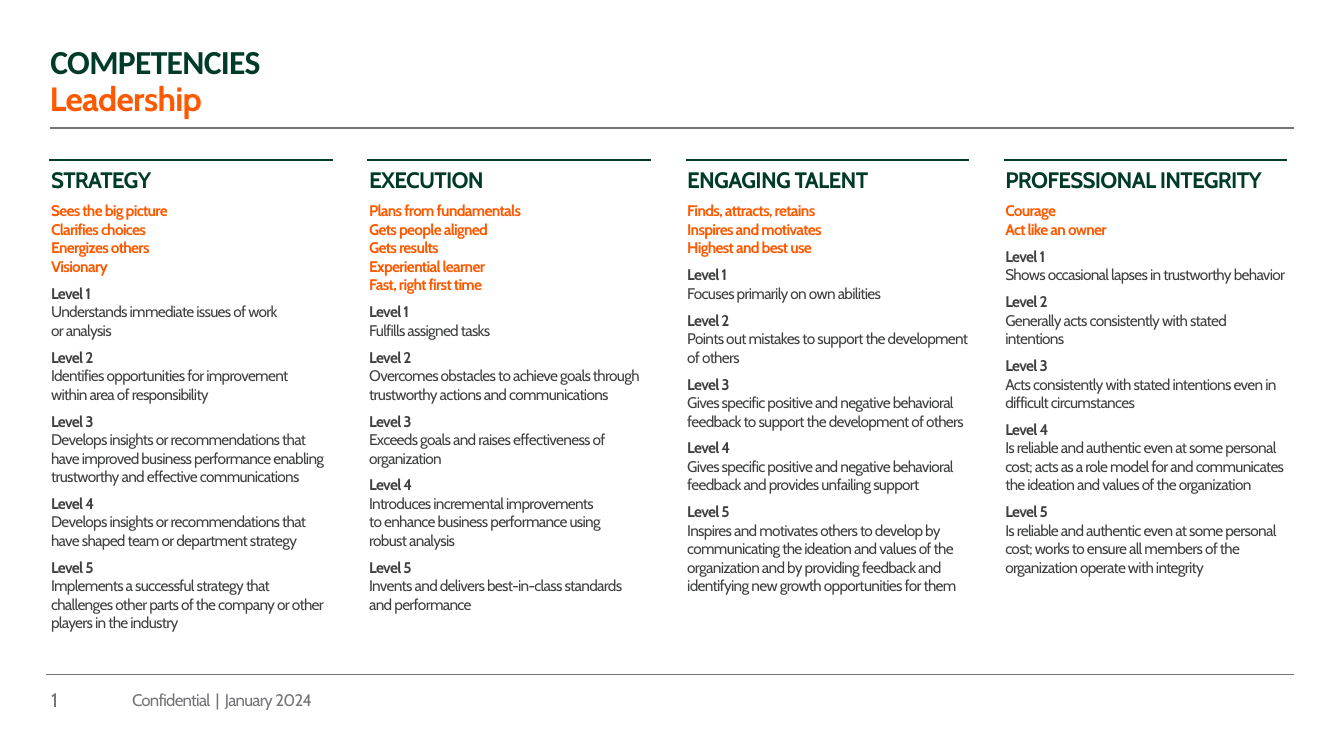
from lxml.etree import SubElement as Sub
from pptx import Presentation
from pptx.dml.color import RGBColor as Rgb
from pptx.enum.shapes import MSO_CONNECTOR as Conn
from pptx.enum.text import MSO_ANCHOR as Anchor
from pptx.oxml.ns import qn
from pptx.util import Pt

HUES = {"green": "003B2A", "orange": "FF5900", "dark": "3F4041", "gray": "737477"}
STEP = 227.2  # distance from column to column

# Heading, traits, then the text of levels 1 to 5
COLUMNS = [
    ("STRATEGY",
     "Sees the big picture\nClarifies choices\nEnergizes others\nVisionary",
     ["Understands immediate issues of work\nor analysis",
      "Identifies opportunities for improvement\nwithin area of responsibility",
      "Develops insights or recommendations that have improved business "
      "performance enabling trustworthy and effective communications",
      "Develops insights or recommendations that have shaped team or "
      "department strategy",
      "Implements a successful strategy that challenges other parts of the "
      "company or other players in the industry"]),
    ("EXECUTION",
     "Plans from fundamentals\nGets people aligned\nGets results\n"
     "Experiential learner\nFast, right first time",
     ["Fulfills assigned tasks",
      "Overcomes obstacles to achieve goals through trustworthy actions and "
      "communications",
      "Exceeds goals and raises effectiveness of organization",
      "Introduces incremental improvements\nto enhance business performance "
      "using\nrobust analysis",
      "Invents and delivers best-in-class standards\nand performance"]),
    ("ENGAGING TALENT",
     "Finds, attracts, retains\nInspires and motivates\nHighest and best use",
     ["Focuses primarily on own abilities",
      "Points out mistakes to support the development of others",
      "Gives specific positive and negative behavioral feedback to support "
      "the development of others",
      "Gives specific positive and negative behavioral feedback and provides "
      "unfailing support",
      "Inspires and motivates others to develop by communicating the ideation "
      "and values of the organization and by providing feedback and "
      "identifying new growth opportunities for them"]),
    ("PROFESSIONAL INTEGRITY",
     "Courage\nAct like an owner",
     ["Shows occasional lapses in trustworthy behavior",
      "Generally acts consistently with stated intentions",
      "Acts consistently with stated intentions even in difficult "
      "circumstances",
      "Is reliable and authentic even at some personal cost; acts as a role "
      "model for and communicates the ideation and values of the organization",
      "Is reliable and authentic even at some personal cost; works to ensure "
      "all members of the organization operate with integrity"]),
]


def add_rule(slide, left, top, right, hue, width):
    rule = slide.shapes.add_connector(
        Conn.STRAIGHT, Pt(left), Pt(top), Pt(right), Pt(top))
    rule.line.color.rgb = Rgb.from_string(HUES[hue])
    rule.line.width = Pt(width)
    Sub(rule._element.spPr, qn("a:effectLst"))


def add_box(slide, left, top, width, height, anchor=Anchor.TOP):
    box = slide.shapes.add_textbox(Pt(left), Pt(top), Pt(width), Pt(height))
    frame = box.text_frame
    frame.word_wrap = True
    frame.vertical_anchor = anchor
    frame.margin_left = 0
    frame.margin_right = Pt(7.2)
    return frame


def style(para, size, hue, bold=False, before=0, face="Cabin"):
    font = para.font
    font.name, font.size, font.bold = face, Pt(size), bold
    font.color.rgb = Rgb.from_string(HUES[hue])
    para.space_before = Pt(before)
    para._p.pPr.find(qn("a:defRPr")).set("spc", "-50")


def add_line(slide, place, text, *look, anchor=Anchor.TOP, **more):
    para = add_box(slide, *place, anchor).paragraphs[0]
    para.text = text
    style(para, *look, **more)


def add_level(frame, number, text):
    para = frame.add_paragraph()
    para.text = f"Level {number}\v{text.replace(chr(10), chr(11))}"
    style(para, 11, "dark", before=6)
    para.runs[0].font.bold = True


def add_column(slide, index, head, traits, levels):
    shift = index * STEP
    add_rule(slide, 35.3 + shift, 114.5, 237.6 + shift, "green", 1.5)
    frame = add_box(slide, 36.5 + shift, 115.2, 208, 354)
    title = frame.paragraphs[0]
    title.text = head
    style(title, 16, "green", True, 6)
    para = frame.add_paragraph()
    para.text = traits.replace("\n", "\v")
    style(para, 11, "orange", True, 6)
    for number, text in enumerate(levels, 1):
        add_level(frame, number, text)


def main():
    deck = Presentation()
    deck.slide_width, deck.slide_height = Pt(960), Pt(540)
    slide = deck.slides.add_slide(deck.slide_layouts[6])

    # Title and subtitle
    add_line(slide, (36, 26, 887, 42.5), "COMPETENCIES", 24, "green", True,
             face="Calibri")
    add_line(slide, (35.5, 52, 887, 37), "Leadership", 24, "orange", True, 6)
    add_rule(slide, 36, 91.5, 924, "gray", 1)

    # Competency columns
    for index, column in enumerate(COLUMNS):
        add_column(slide, index, *column)

    # Footer
    add_rule(slide, 33, 481.7, 924, "gray", 0.25)
    add_line(slide, (36.5, 481.7, 36, 36), "1", 14, "gray",
             anchor=Anchor.MIDDLE)
    add_line(slide, (94.3, 481.7, 793, 36), "Confidential  |  January 2024",
             12, "gray", anchor=Anchor.MIDDLE)

    deck.save("out.pptx")


if __name__ == "__main__":
    main()
